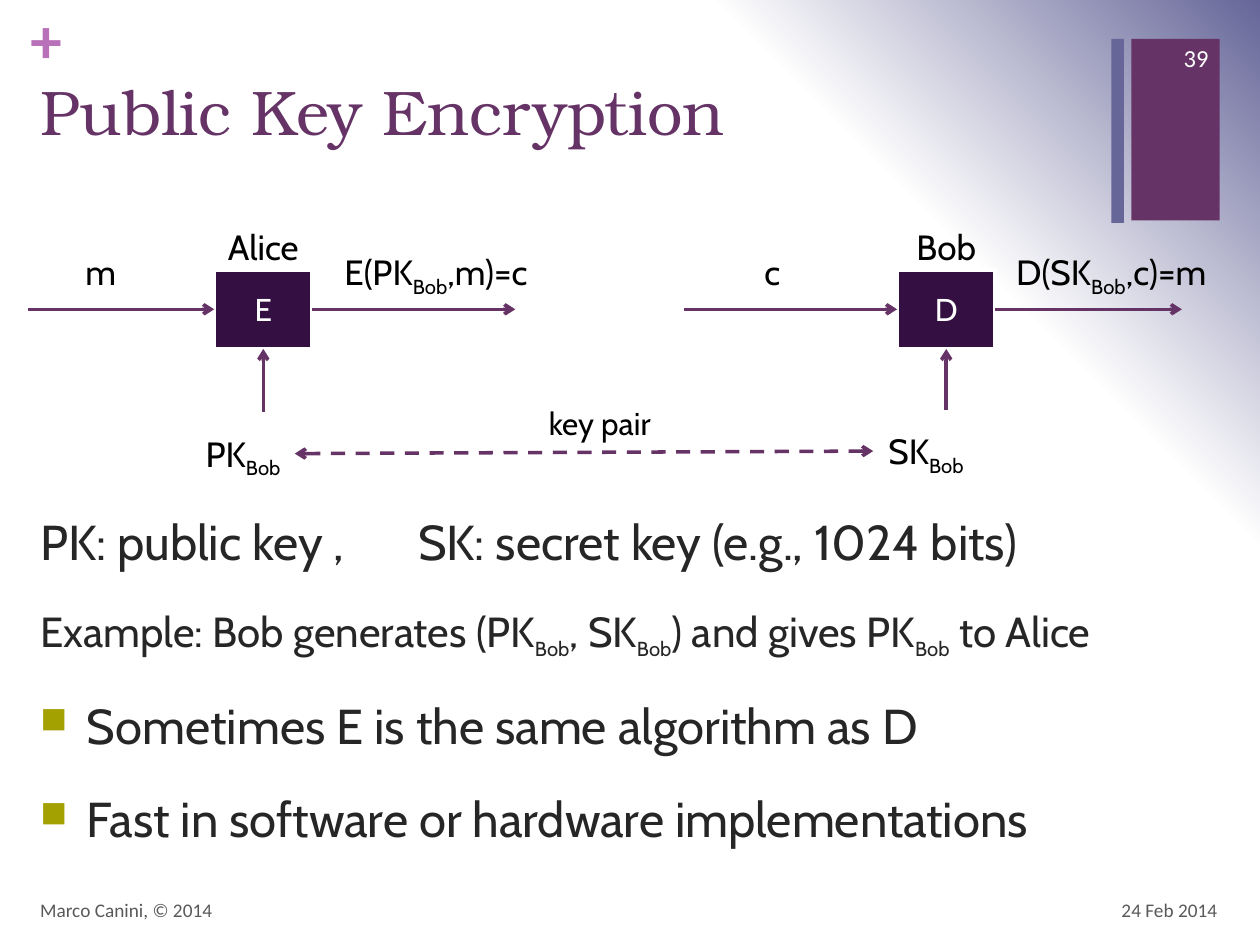
from lxml import etree
from pptx import Presentation
from pptx.dml.color import RGBColor
from pptx.enum.dml import MSO_LINE
from pptx.enum.shapes import MSO_CONNECTOR, MSO_SHAPE
from pptx.enum.text import MSO_ANCHOR, PP_ALIGN
from pptx.oxml import parse_xml
from pptx.oxml.ns import nsdecls, qn
from pptx.util import Inches, Pt

LEFT, CENTER, RIGHT = PP_ALIGN.LEFT, PP_ALIGN.CENTER, PP_ALIGN.RIGHT
TOP, MIDDLE = MSO_ANCHOR.TOP, MSO_ANCHOR.MIDDLE
RECT, STRAIGHT, DASH = MSO_SHAPE.RECTANGLE, MSO_CONNECTOR.STRAIGHT, MSO_LINE.DASH

PURPLE = RGBColor(0x66, 0x33, 0x66)
SLATE = RGBColor(0x66, 0x66, 0x99)
ORCHID = RGBColor(0xB8, 0x70, 0xB8)
PLUM = RGBColor(0x33, 0x0F, 0x42)
OLIVE = RGBColor(0xA3, 0xA1, 0x01)
INK = RGBColor(0x26, 0x26, 0x26)
GRAY = RGBColor(0x59, 0x59, 0x59)
BLACK = RGBColor(0, 0, 0)
WHITE = RGBColor(0xFF, 0xFF, 0xFF)

BODY_FONT, TITLE_FONT, SMALL_FONT = "Cabin", "TeX Gyre Bonum", "Calibri"
MARGIN = 0.22


def add_runs(p, text, size=20, sub_size=None, font=BODY_FONT, color=BLACK,
             bold=False, align=LEFT):
    """Fill a paragraph; parts between bars are subscripts."""
    p.alignment = align
    for i, part in enumerate(text.split("|")):
        if not part:
            continue
        r = p.add_run()
        r.text = part
        is_sub = i % 2 == 1
        r.font.size = Pt(sub_size if is_sub and sub_size else size)
        r.font.name = font
        r.font.bold = bold
        r.font.color.rgb = color
        if is_sub:
            r._r.get_or_add_rPr().set("baseline", "-25000")


def add_text(s, text, x, y, w, h, anchor=TOP, wrap=True, inset=None, **fmt):
    sp = s.shapes.add_textbox(Inches(x), Inches(y), Inches(w), Inches(h))
    tf = sp.text_frame
    tf.word_wrap = wrap
    tf.vertical_anchor = anchor
    if inset is not None:
        tf.margin_left = tf.margin_right = Inches(inset)
        tf.margin_top = tf.margin_bottom = Inches(inset)
    add_runs(tf.paragraphs[0], text, **fmt)
    return tf


def add_label(s, text, cx, y, w=1, h=0.44, size=20):
    """Single-line diagram label centred on cx."""
    add_text(s, text, cx - w / 2, y, w, h, wrap=False, size=size, align=CENTER)


def add_rect(s, x, y, w, h, fill, line=None):
    sp = s.shapes.add_shape(RECT, Inches(x), Inches(y), Inches(w), Inches(h))
    sp.shadow.inherit = False
    sp.fill.solid()
    sp.fill.fore_color.rgb = fill
    if line is None:
        sp.line.fill.background()
    else:
        sp.line.color.rgb = line
        sp.line.width = Pt(2.25)
    return sp


def add_arrow(s, x1, y1, x2, y2, dash=None, both=False):
    c = s.shapes.add_connector(STRAIGHT, Inches(x1), Inches(y1), Inches(x2), Inches(y2))
    c.line.color.rgb = PURPLE
    c.line.width = Pt(2)
    if dash is not None:
        c.line.dash_style = dash
    ln = c.line._get_or_add_ln()
    for end in (["headEnd"] if both else []) + ["tailEnd"]:
        etree.SubElement(ln, qn("a:" + end), type="arrow")
    etree.SubElement(c._element.spPr, qn("a:effectLst"))


def set_background(s):
    """Radial gradient spreading from the bottom left corner."""
    s.background.fill.solid()
    bg_pr = s.background._cSld.bg.bgPr
    stops = "".join(
        f'<a:gs pos="{pos * 1000}"><a:srgbClr val="{color}"/></a:gs>'
        for pos, color in ((0, WHITE), (75, WHITE), (100, SLATE)))
    grad = parse_xml(
        f'<a:gradFill {nsdecls("a")} rotWithShape="1"><a:gsLst>{stops}</a:gsLst>'
        '<a:path path="circle"><a:fillToRect t="100000" r="100000"/></a:path>'
        '</a:gradFill>')
    bg_pr.replace(bg_pr.find(qn("a:solidFill")), grad)


def add_header(s, x, y, w, h):
    # Corner bars and plus sign
    add_rect(s, 8.98, 0.31, 0.7, 1.44, PURPLE)
    add_text(s, "+", 0.24, 0, 0.29, 0.61, inset=0, size=36, font=SMALL_FONT,
             color=ORCHID, bold=True)
    add_rect(s, 8.82, 0.31, 0.1, 1.46, SLATE)
    # Title and slide number
    add_text(s, "Public Key Encryption", x, y, w, h, size=36, font=TITLE_FONT,
             color=PURPLE)
    add_text(s, "39", 9.08, 0.26, 0.61, 0.4, anchor=MIDDLE, size=14,
             font=SMALL_FONT, color=WHITE, align=RIGHT)


def add_bullet(p):
    pPr = p._p.get_or_add_pPr()
    pPr.set("marL", str(Inches(0.37)))
    pPr.set("indent", str(-Inches(0.37)))
    clr = etree.SubElement(pPr, qn("a:buClr"))
    etree.SubElement(clr, qn("a:srgbClr"), val=str(OLIVE))
    etree.SubElement(pPr, qn("a:buSzPct"), val="75000")
    etree.SubElement(pPr, qn("a:buChar"), char="■")


def add_body(s, x, y, w, h):
    tf = add_text(s, "PK: public key , \tSK: secret key (e.g., 1024 bits)",
                  x, y, w, h, size=28, color=INK)
    lines = [
        ("Example: Bob generates (PK|Bob|, SK|Bob|) and gives PK|Bob| to Alice", 24, False),
        ("Sometimes E is the same algorithm as D", 28, True),
        ("Fast in software or hardware implementations", 28, True),
    ]
    for text, size, bulleted in lines:
        p = tf.add_paragraph()
        p.space_before = Pt(20)
        if bulleted:
            add_bullet(p)
        add_runs(p, text, size=size, sub_size=20, color=INK)


def add_party(s, x, y, w, h, name, cipher, start, end, source, result, key, key_y):
    """Cipher box with its input, output and key; source and result are (text, centre)."""
    cx, cy = x + w / 2, y + h / 2
    sp = add_rect(s, x, y, w, h, PLUM, line=WHITE)
    sp.text_frame.vertical_anchor = MIDDLE
    add_runs(sp.text_frame.paragraphs[0], cipher, size=18, color=WHITE, align=CENTER)
    # Input, output and key arrows
    add_arrow(s, start, cy, x, cy)
    add_arrow(s, x + w, cy, end, cy)
    add_arrow(s, cx, key_y - 0.11, cx, y + h)
    # Labels
    add_label(s, name, cx, y - 0.4)
    for text, center in (source, result):
        add_label(s, text, center, y - 0.2, w=1.88 if "|" in text else 0.4)
    add_label(s, key, x + 0.23, key_y, w=0.84)


def add_diagram(s, x, y):
    w, h = 0.78, 0.63
    alice, bob = x + 1.48, x + 6.9
    pk_y, sk_y = y + 1.24, y + 1.22
    add_party(s, alice, y, w, h, "Alice", "E", x, 4.09,
              ("m", 0.78), ("E(PK|Bob|,m)=c", 3.46), "PK|Bob|", pk_y)
    add_party(s, bob, y, w, h, "Bob", "D", 5.43, 9.38,
              ("c", 6.13), ("D(SK|Bob|,c)=m", 8.82), "SK|Bob|", sk_y)
    # Link between the two keys
    add_arrow(s, 2.34, pk_y + 0.22, 6.93, sk_y + 0.22, dash=DASH, both=True)
    add_label(s, "key pair", 4.76, y + 1.02, w=1.08, h=0.4, size=18)


def add_footer(s, x, y, w, h):
    fmt = dict(anchor=MIDDLE, size=11, font=SMALL_FONT, color=GRAY)
    date_w = 2.33
    add_text(s, "Marco Canini, © 2014", x, y, 6.7, h, **fmt)
    add_text(s, "24 Feb 2014", x + w - date_w, y, date_w, h, align=RIGHT, **fmt)


def main():
    prs = Presentation()
    prs.slide_width, prs.slide_height = Inches(10), Inches(7.5)
    s = prs.slides.add_slide(prs.slide_layouts[6])
    set_background(s)
    add_header(s, MARGIN, 0.53, 8.59, 1.22)
    add_body(s, MARGIN, 4.01, 9.54, 3.01)
    add_diagram(s, MARGIN, 2.14)
    add_footer(s, MARGIN, 7.02, 9.54, 0.4)
    prs.save("out.pptx")


if __name__ == "__main__":
    main()
